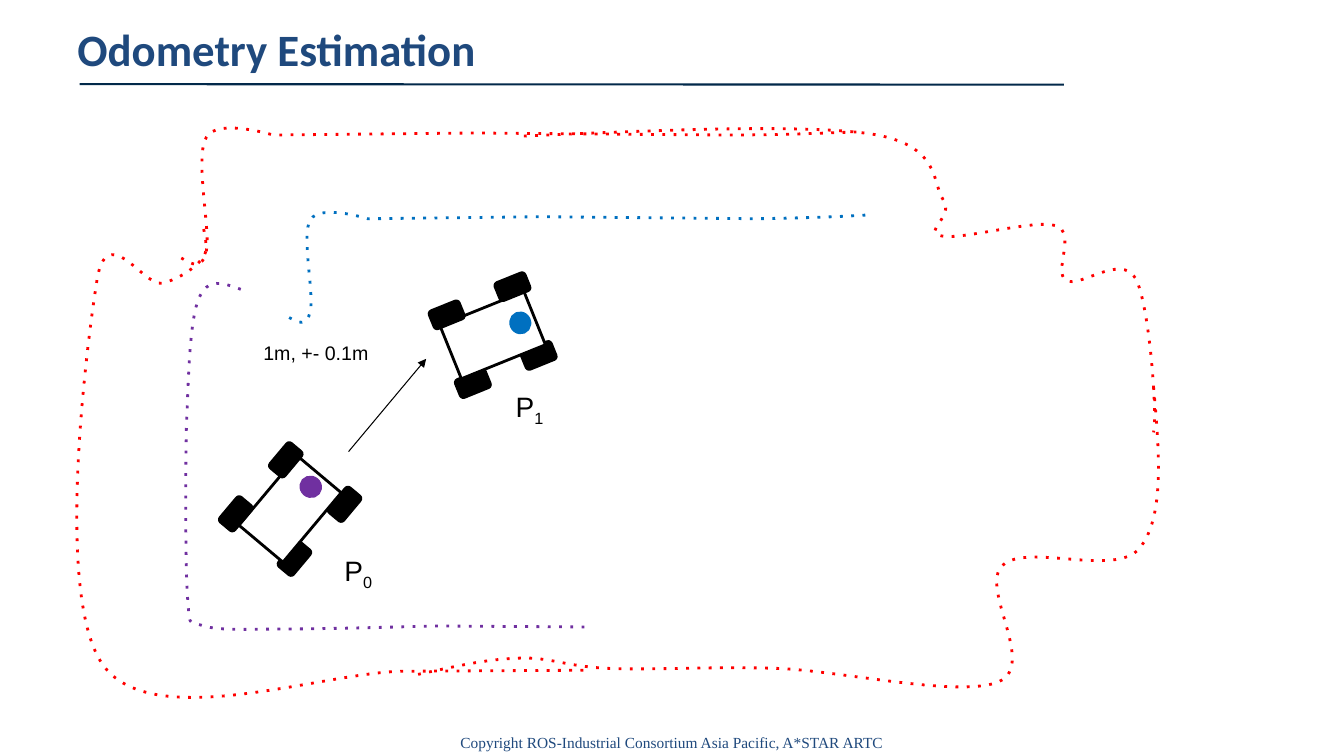
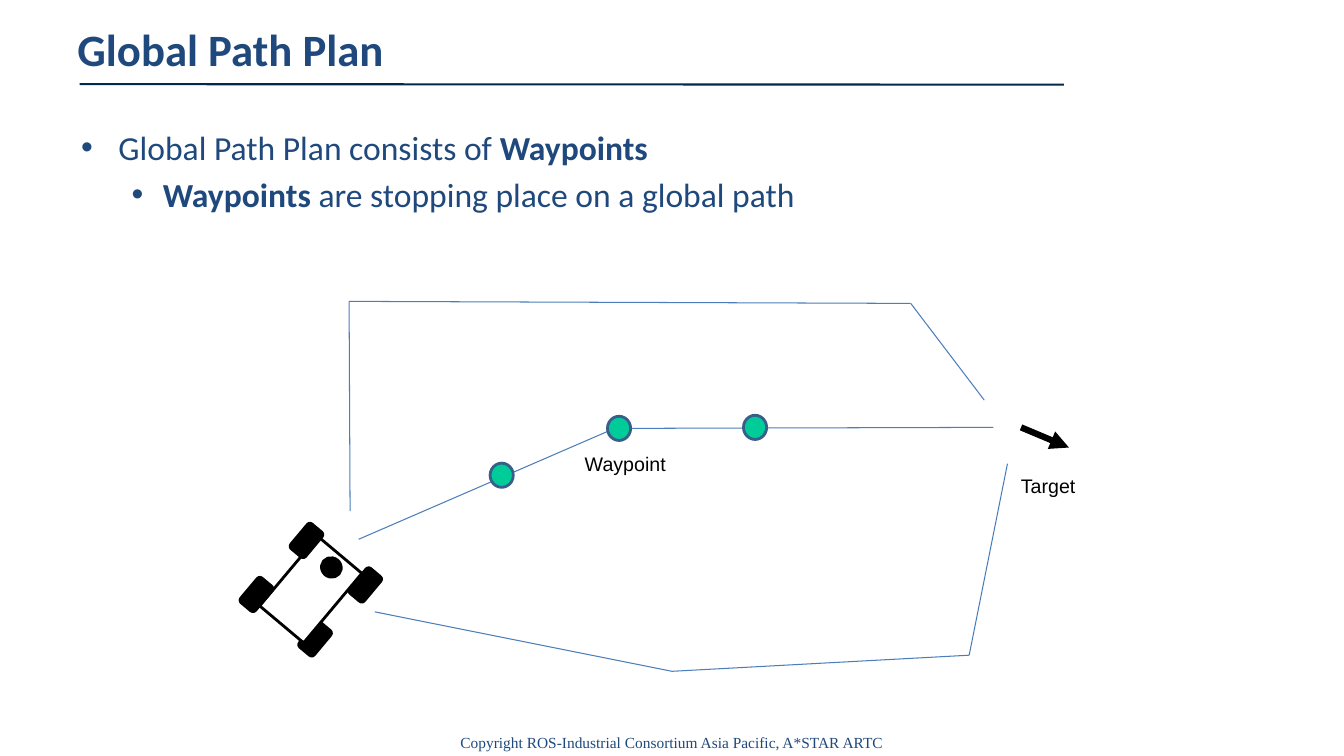
from dataclasses import dataclass
from itertools import pairwise
from math import cos, radians, sin
from typing import NamedTuple

from lxml.etree import SubElement
from pptx import Presentation
from pptx.dml.color import RGBColor
from pptx.enum.shapes import MSO_CONNECTOR, MSO_SHAPE
from pptx.enum.text import MSO_ANCHOR, PP_ALIGN
from pptx.oxml.ns import qn
from pptx.util import Inches, Pt


@dataclass(frozen=True)
class Theme:
    navy: str = "1F497D"
    rule: str = "02294A"
    black: str = "000000"
    white: str = "FFFFFF"
    red: str = "FF0000"
    blue: str = "0070C0"
    purple: str = "7030A0"
    route: str = "4A7DBA"
    waypoint: str = "00CC99"
    waypoint_edge: str = "395E89"
    heading_font: str = "Calibri"
    label_font: str = "Arial"
    footer_font: str = "Times New Roman"
    title_size: float = 32
    body_size: float = 24
    pose_size: float = 20
    label_size: float = 14
    footer_size: float = 11
    thin: float = 0.75
    rule_width: float = 1.5
    outline: float = 2
    heavy: float = 4.5


THEME = Theme()
CELL = Inches(0.1)
COLUMNS, ROWS = 133.4, 75


class Point(NamedTuple):
    column: float
    row: float


class Box(NamedTuple):
    column: float
    row: float
    columns: float
    rows: float


class Robot(NamedTuple):
    center: Point
    angle: float
    dot_color: str
    dot_across: float
    wheel_along: float
    skew: float


class Trail(NamedTuple):
    color: str
    start: Point
    segments: tuple[tuple[float, ...], ...]


class Bullet(NamedTuple):
    margin: float
    hanging: float
    spans: tuple[tuple[str, bool], ...]


TRAILS = (
    Trail(THEME.purple, Point(23.9, 28.7), (
        (22.2, 28.1, 20.6, 27.4, 19.7, 29.7), (18.8, 32, 18.7, 37.7, 18.5, 42.6),
        (18.4, 47.5, 18.4, 55.8, 18.6, 59.1), (18.9, 62.3, 18.5, 61.5, 20.2, 62.1),
        (21.9, 62.6, 24.9, 62.4, 28.7, 62.4), (32.6, 62.4, 43.3, 62.1, 43.3, 62.1), (58.1, 62.2))),
    Trail(THEME.blue, Point(28.7, 31.5), (
        (29.6, 32, 30.5, 32.5, 30.8, 30.8), (31.2, 29.2, 29.9, 23.3, 30.8, 21.8),
        (31.8, 20.2, 36.5, 21.7, 36.5, 21.7), (53.7, 21.5), (75.1, 21.7),
        (80.6, 21.6, 83.5, 21.5, 86.5, 21.3))),
    Trail(THEME.red, Point(57.9, 66.5), (
        (40.2, 66.6), (32.3, 66.6, 15.5, 72.7, 10.4, 66.2), (5.3, 59.8, 8.6, 34.3, 9.6, 28),
        (10.5, 21.6, 14.3, 28.5, 16.1, 28.1), (17.8, 27.7, 19.5, 26.5, 20.2, 25.5),
        (20.9, 24.6, 19.9, 21.8, 20.2, 22.4))),
    Trail(THEME.red, Point(18, 25.6), (
        (19, 26.2, 20.1, 26.9, 20.5, 24.8), (20.9, 22.8, 19.3, 15.5, 20.5, 13.6),
        (21.6, 11.7, 27.1, 13.4, 27.1, 13.4), (47, 13.2), (71.7, 13.4),
        (78.1, 13.4, 81.5, 13.2, 85, 13.1))),
    Trail(THEME.red, Point(52, 13.5), (
        (65.8, 12.9, 79.6, 12.3, 86.5, 13.3), (93.4, 14.4, 92.5, 18.1, 93.6, 19.8),
        (94.8, 21.5, 91.5, 23, 93.4, 23.4), (95.2, 23.9, 102.8, 21.7, 104.8, 22.4),
        (106.9, 23.1, 104.5, 27, 105.8, 27.8), (107.1, 28.7, 111.2, 25.1, 112.7, 27.6),
        (114.1, 30.1, 114.9, 41.3, 114.5, 42.9))),
    Trail(THEME.red, Point(114.5, 38.4), (
        (115.1, 44.9, 115.6, 51.4, 113.1, 54.4), (110.7, 57.3, 101.9, 53.8, 99.5, 56.1),
        (97.2, 58.3, 102.9, 65.9, 99.2, 67.6), (95.4, 69.3, 83.4, 66.5, 77, 66.3),
        (70.5, 66.1, 64.6, 66.5, 60.3, 66.3), (56, 66.1, 54.4, 65.1, 51.3, 65.3),
        (48.1, 65.4, 44.8, 66.2, 41.5, 66.9))),
)
ROUTES = (
    (Point(34.75, 50.7), Point(34.65, 29.9), Point(90.4, 30.1), Point(97.7, 39.7)),
    (Point(35.6, 53.5), Point(61, 42.5), Point(98.6, 42.4)),
    (Point(37.2, 60.7), Point(66.7, 66.6), Point(96.2, 65), Point(100, 46)),
)
WAYPOINTS = (Point(61.45, 42.5), Point(74.95, 42.4), Point(49.8, 47.15))
BULLETS = (
    Bullet(3.7, 3.7, (("Global Path Plan consists of ", False), ("Waypoints", True))),
    Bullet(8.1, 3.1, (("Waypoints ", True), ("are stopping place on a global path", False))),
)


def cells(count: float) -> int:
    return round(count * CELL)


def color(value: str) -> RGBColor:
    return RGBColor.from_string(value)


def write(para, text: str, *, size: float, font: str, ink: str,
          bold: bool = False, baseline: int = 0) -> None:
    span = para.add_run()
    span.text = text
    span.font.size = Pt(size)
    span.font.name = font
    span.font.bold = bold
    span.font.color.rgb = color(ink)
    if baseline:
        span._r.get_or_add_rPr().set("baseline", str(baseline * 1000))


def add_frame(page, box: Box, wrap: bool = True):
    frame = page.shapes.add_textbox(*map(cells, box)).text_frame
    frame.word_wrap = wrap
    return frame


def add_line(page, start: Point, end: Point, ink: str, width: float, arrow: bool = False) -> None:
    line = page.shapes.add_connector(MSO_CONNECTOR.STRAIGHT, *map(cells, start + end))
    line.line.color.rgb = color(ink)
    line.line.width = Pt(width)
    SubElement(line._element.spPr, qn("a:effectLst"))
    if arrow:
        SubElement(line.line._get_or_add_ln(), qn("a:tailEnd"), type="triangle")


def add_part(shapes, kind, center: Point, columns: float, rows: float, *,
             fill: str, edge: str, angle: float = 0):
    box = Box(center.column - columns / 2, center.row - rows / 2, columns, rows)
    part = shapes.add_shape(kind, *map(cells, box))
    part.shadow.inherit = False
    part.rotation = angle
    part.fill.solid()
    part.fill.fore_color.rgb = color(fill)
    part.line.color.rgb = color(edge)
    part.line.width = Pt(THEME.outline)
    return part


def add_robot(page, robot: Robot) -> None:
    shapes = page.shapes.add_group_shape().shapes
    cosine, sine = cos(radians(robot.angle)), sin(radians(robot.angle))

    def place(across: float, along: float) -> Point:
        return Point(robot.center.column + across * cosine - along * sine,
                     robot.center.row + across * sine + along * cosine)

    def add_wheels(side: int) -> None:
        for end in (1, -1):
            stretch = 1 - side * end * robot.skew
            center = place(side * 3.65 * stretch, end * robot.wheel_along * stretch)
            wheel = add_part(shapes, MSO_SHAPE.ROUNDED_RECTANGLE, center, 1.9, 3.2,
                             fill=THEME.black, edge=THEME.black, angle=robot.angle)
            wheel.adjustments[0] = 0.17

    add_wheels(1)
    add_part(shapes, MSO_SHAPE.RECTANGLE, robot.center, 5.7, 9,
             fill=THEME.white, edge=THEME.black, angle=robot.angle)
    add_part(shapes, MSO_SHAPE.OVAL, place(robot.dot_across, -3), 2, 1.9,
             fill=robot.dot_color, edge=robot.dot_color, angle=robot.angle)
    add_wheels(-1)


def curve_point(controls: list[Point], share: float) -> Point:
    if len(controls) == 1:
        return controls[0]
    return curve_point([Point(a.column + (b.column - a.column) * share,
                              a.row + (b.row - a.row) * share)
                        for a, b in pairwise(controls)], share)


def add_trail(page, trail: Trail) -> None:
    curves = [list(map(Point, part[::2], part[1::2])) for part in trail.segments]
    extent = [trail.start]
    for curve in curves:
        controls = [extent[-1], *curve]
        extent += [curve_point(controls, step / 16) for step in range(1, 17)]
    first, *rest = [tuple(map(cells, point)) for point in extent]
    builder = page.shapes.build_freeform(*first)
    builder.add_line_segments(rest, close=False)
    shape = builder.convert_to_shape()
    outline = shape._element.find(".//" + qn("a:path"))
    for line in outline.findall(qn("a:lnTo")):
        outline.remove(line)
    for curve in curves:
        command = SubElement(outline, qn("a:cubicBezTo" if len(curve) == 3 else "a:lnTo"))
        for point in curve:
            SubElement(command, qn("a:pt"), x=str(cells(point.column) - shape.left),
                       y=str(cells(point.row) - shape.top))
    shape.shadow.inherit = False
    shape.fill.background()
    shape.line.color.rgb = color(trail.color)
    shape.line.width = Pt(THEME.outline)
    SubElement(shape.line._get_or_add_ln(), qn("a:prstDash"), val="dot")


def add_label(page, box: Box, text: str, size: float, subscript: str = "") -> None:
    para = add_frame(page, box, wrap=False).paragraphs[0]
    write(para, text, size=size, font=THEME.label_font, ink=THEME.black)
    if subscript:
        write(para, subscript, size=size, font=THEME.label_font, ink=THEME.black, baseline=-25)


def add_bullets(page, box: Box, bullets: tuple[Bullet, ...]) -> None:
    frame = add_frame(page, box)
    for level, bullet in enumerate(bullets):
        para = frame.add_paragraph() if level else frame.paragraphs[0]
        para.level = level
        if level:
            para.space_before = Pt(4.9)
        properties = para._p.get_or_add_pPr()
        properties.set("marL", str(cells(bullet.margin)))
        properties.set("indent", str(-cells(bullet.hanging)))
        SubElement(SubElement(properties, qn("a:buClr")), qn("a:srgbClr"), val=THEME.navy)
        SubElement(properties, qn("a:buFont"), typeface=THEME.label_font)
        SubElement(properties, qn("a:buChar"), char="•")
        for text, bold in bullet.spans:
            write(para, text, size=THEME.body_size, font=THEME.heading_font,
                  ink=THEME.navy, bold=bold)


def add_page(deck, title: str):
    page = deck.slides.add_slide(deck.slide_layouts[6])
    add_line(page, Point(7.9, 8.35), Point(105.6, 8.4), THEME.rule, THEME.rule_width)
    footer = add_frame(page, Box(28.45, 72.1, 76.5, 2.9)).paragraphs[0]
    footer.alignment = PP_ALIGN.CENTER
    footer.line_spacing = 1.07
    write(footer, "Copyright ROS-Industrial Consortium Asia Pacific, A*STAR ARTC",
          size=THEME.footer_size, font=THEME.footer_font, ink=THEME.navy)
    frame = add_frame(page, Box(6.7, 1.7, 102.2, 6.6))
    frame.vertical_anchor = MSO_ANCHOR.MIDDLE
    frame.paragraphs[0].line_spacing = 0.98
    write(frame.paragraphs[0], title, size=THEME.title_size, font=THEME.heading_font,
          ink=THEME.navy, bold=True)
    return page


def draw_odometry(deck) -> None:
    page = add_page(deck, "Odometry Estimation")
    add_line(page, Point(34.6, 44.8), Point(42.3, 35.6), THEME.black, THEME.thin, arrow=True)
    add_label(page, Box(50.2, 38.1, 4.9, 4.8), "P", THEME.pose_size, "1")
    add_label(page, Box(33.2, 54.4, 4.9, 4.8), "P", THEME.pose_size, "0")
    add_label(page, Box(25.15, 33.3, 12.5, 3.3), "1m, +- 0.1m", THEME.label_size)
    add_robot(page, Robot(Point(48.9, 33.25), 68, THEME.blue, -0.1, 3.55, -0.02))
    add_robot(page, Robot(Point(28.8, 50.5), 40, THEME.purple, 0.15, 3.65, 0.05))
    for trail in TRAILS:
        add_trail(page, trail)


def draw_path_plan(deck) -> None:
    page = add_page(deck, "Global Path Plan")
    add_bullets(page, Box(7.08, 12.1, 120, 11.8), BULLETS)
    add_robot(page, Robot(Point(30.85, 58.5), 40, THEME.black, 0.15, 3.65, 0.05))
    add_label(page, Box(100.35, 46.5, 7.7, 3.3), "Target", THEME.label_size)
    add_line(page, Point(101.35, 42.4), Point(106.1, 44.4), THEME.black, THEME.heavy, arrow=True)
    for route in ROUTES:
        for start, end in pairwise(route):
            add_line(page, start, end, THEME.route, THEME.thin)
    for center in WAYPOINTS:
        add_part(page.shapes, MSO_SHAPE.OVAL, center, 2.3, 2.4,
                 fill=THEME.waypoint, edge=THEME.waypoint_edge)
    add_label(page, Box(57.05, 44.35, 10.2, 3.3), "Waypoint", THEME.label_size)


def main() -> None:
    deck = Presentation()
    deck.slide_width, deck.slide_height = cells(COLUMNS), cells(ROWS)
    draw_odometry(deck)
    draw_path_plan(deck)
    deck.save("out.pptx")


if __name__ == "__main__":
    main()
